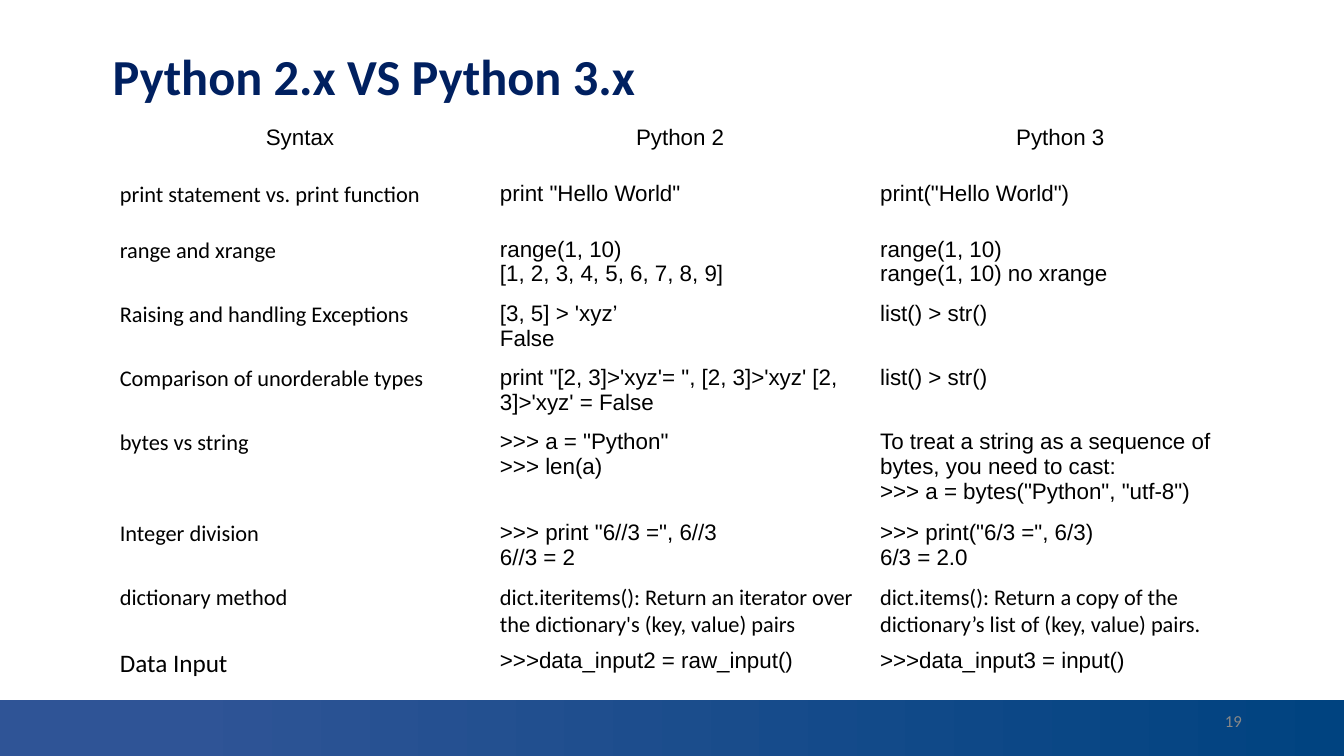
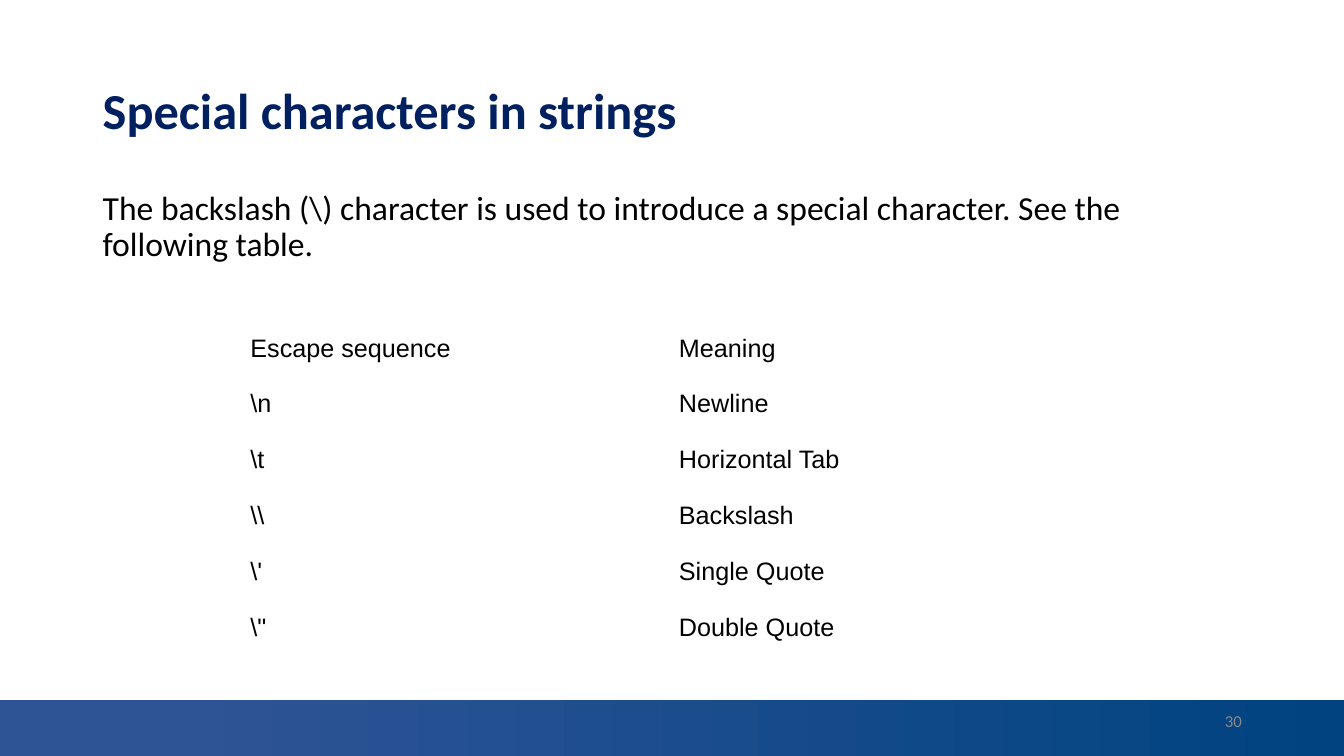
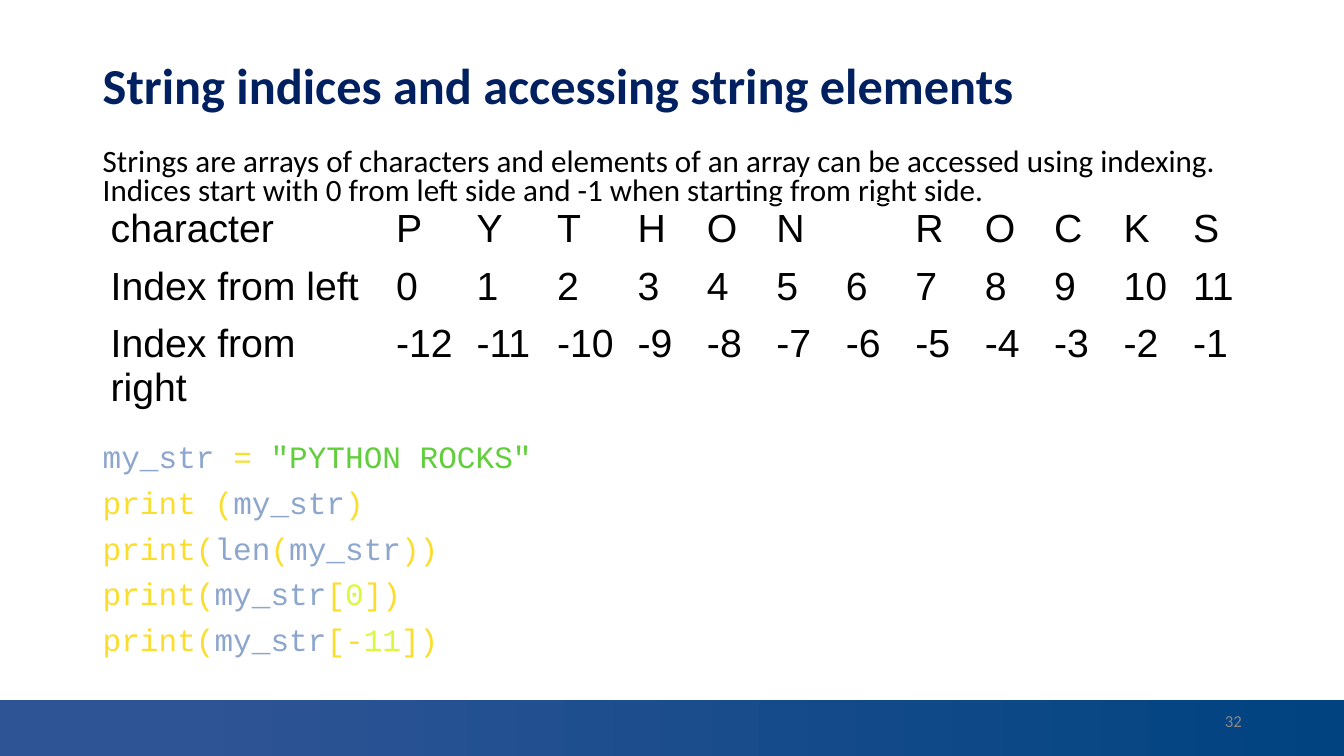
from collections.abc import Sequence
from dataclasses import dataclass

from pptx import Presentation
from pptx.dml.color import RGBColor
from pptx.enum import shapes, text
from pptx.util import Cm, Pt

SLIDE_W, SLIDE_H = 33.87, 19.05
BAND_TOP = 17.65
LEFT, WIDTH = 2.34, 29.21
BLACK, NAVY, GREY = "000000", "002060", "888888"
BAND_START, BAND_END = "2F5496", "004380"
NAME, MARK, STRING, NUMBER = "8DA6CE", "FBDE2D", "61CE3C", "D8FA3C"
ALIGN = text.PP_ALIGN
ANCHOR = text.MSO_ANCHOR


@dataclass(frozen=True)
class Style:
    size: float
    font: str = "Calibri"
    color: str = BLACK
    bold: bool = False


@dataclass(frozen=True)
class Run:
    text: str
    style: Style


@dataclass(frozen=True)
class Layout:
    """How the paragraphs of one text are set."""
    align: ALIGN = ALIGN.LEFT
    line: float = 1.0
    after: float = 0


@dataclass(frozen=True)
class Box:
    left: float
    top: float
    width: float
    height: float

    def lengths(self) -> tuple:
        return Cm(self.left), Cm(self.top), Cm(self.width), Cm(self.height)


@dataclass(frozen=True)
class Cell:
    text: str
    style: Style
    align: ALIGN = ALIGN.LEFT


TITLE = Style(36, color=NAVY, bold=True)
PAGE = Style(12, color=GREY)
LABEL = Style(16)
SAMPLE = Style(16, "Arial")
ESCAPE = Style(18, "Arial")
INDEX = Style(28, "Arial")


def rgb(color: str) -> RGBColor:
    return RGBColor.from_string(color)


def write(frame, paragraphs: Sequence[Sequence[Run]], layout: Layout = Layout()) -> None:
    for number, runs in enumerate(paragraphs):
        paragraph = frame.paragraphs[0] if number == 0 else frame.add_paragraph()
        paragraph.alignment = layout.align
        paragraph.line_spacing = layout.line
        paragraph.space_after = Pt(layout.after)
        for part in runs:
            run = paragraph.add_run()
            run.text = part.text
            run.font.size = Pt(part.style.size)
            run.font.name = part.style.font
            run.font.bold = part.style.bold
            run.font.color.rgb = rgb(part.style.color)


def add_text(slide, box: Box, paragraphs: Sequence[Sequence[Run]],
             layout: Layout = Layout(), anchor: ANCHOR = ANCHOR.TOP) -> None:
    frame = slide.shapes.add_textbox(*box.lengths()).text_frame
    frame.word_wrap = True
    frame.vertical_anchor = anchor
    write(frame, paragraphs, layout)


def add_slide(deck, title: str, title_box: Box, page: int):
    """Add a slide with its bottom band, title and page number."""
    slide = deck.slides.add_slide(deck.slide_layouts[6])
    band_box = Box(0, BAND_TOP, SLIDE_W, SLIDE_H - BAND_TOP)
    band = slide.shapes.add_shape(shapes.MSO_SHAPE.RECTANGLE, *band_box.lengths())
    band.shadow.inherit = False
    band.line.fill.background()
    band.fill.gradient()
    band.fill.gradient_angle = 0
    for stop, position, color in zip(band.fill.gradient_stops, (0.13, 1), (BAND_START, BAND_END)):
        stop.position = position
        stop.color.rgb = rgb(color)
    add_text(slide, title_box, [[Run(title, TITLE)]], Layout(line=0.9), ANCHOR.MIDDLE)
    add_text(slide, Box(23.93, BAND_TOP, 7.62, 1.02), [[Run(str(page), PAGE)]],
             Layout(ALIGN.RIGHT), ANCHOR.MIDDLE)
    return slide


def add_grid(slide, left: float, top: float, widths: Sequence[float], heights: Sequence[float],
             rows: Sequence[Sequence[Cell]], margins: tuple[float, float] = (0.25, 0.13)) -> None:
    """Add a plain table; margins are the side and the top/bottom ones."""
    box = Box(left, top, sum(widths), sum(heights))
    table = slide.shapes.add_table(len(heights), len(widths), *box.lengths()).table
    table.first_row = table.horz_banding = False
    for column, width in zip(table.columns, widths):
        column.width = Cm(width)
    for row, height, contents in zip(table.rows, heights, rows):
        row.height = Cm(height)
        for cell, content in zip(row.cells, contents):
            cell.fill.background()
            cell.margin_left = cell.margin_right = Cm(margins[0])
            cell.margin_top = cell.margin_bottom = Cm(margins[1])
            if content.text:
                lines = [[Run(line, content.style)] for line in content.text.split("\n")]
                write(cell.text_frame, lines, Layout(content.align))


def add_versions(deck) -> None:
    slide = add_slide(deck, "Python 2.x VS Python 3.x", Box(2.59, 1.02, WIDTH, 1.93), 19)
    samples = [
        ("print statement vs. print function", 'print "Hello World"', 'print("Hello World")'),
        ("range and xrange", "range(1, 10)\n[1, 2, 3, 4, 5, 6, 7, 8, 9]",
         "range(1, 10)\nrange(1, 10) no xrange"),
        ("Raising and handling Exceptions", "[3, 5] > 'xyz’\nFalse", "list() > str()"),
        ("Comparison of unorderable types",
         "print \"[2, 3]>'xyz'= \", [2, 3]>'xyz' [2, 3]>'xyz' = False", "list() > str()"),
        ("bytes vs string", '>>> a = "Python"\n>>> len(a)',
         "To treat a string as a sequence of bytes, you need to cast:\n"
         '>>> a = bytes("Python", "utf-8")'),
        ("Integer division", '>>> print "6//3 =", 6//3\n6//3 = 2',
         '>>> print("6/3 =", 6/3)\n6/3 = 2.0'),
    ]
    methods = ("dictionary method",
               "dict.iteritems(): Return an iterator over the dictionary's (key, value) pairs",
               "dict.items(): Return a copy of the dictionary’s list of (key, value) pairs.")
    rows = [[Cell(head, SAMPLE, ALIGN.CENTER) for head in ("Syntax", "Python 2", "Python 3")]]
    rows += [[Cell(label, LABEL), Cell(old, SAMPLE), Cell(new, SAMPLE)]
             for label, old, new in samples]
    rows.append([Cell(method, LABEL) for method in methods])
    rows.append([Cell("Data Input", Style(18)),
                 Cell(">>>data_input2 = raw_input()", SAMPLE),
                 Cell(">>>data_input3 = input()", SAMPLE)])
    heights = [1.41] * 2 + [1.51] * 3 + [2.13] + [1.51] * 2 + [1.41]
    add_grid(slide, 2.77, 3.02, [9.58] * 3, heights, rows)


def add_escapes(deck) -> None:
    slide = add_slide(deck, "Special characters in strings", Box(LEFT, 1.02, WIDTH, 3.68), 30)
    intro = ("The backslash (\\) character is used to introduce a special character. "
             "See the following table.")
    add_text(slide, Box(LEFT, 4.7, WIDTH, 2.5), [[Run(intro, Style(24))]], Layout(line=0.9))
    escapes = [("Escape sequence", "Meaning"), ("\\n", "Newline"), ("\\t", "Horizontal Tab"),
               ("\\\\", "Backslash"), ("\\'", "Single Quote"), ('\\"', "Double Quote")]
    rows = [[Cell(entry, ESCAPE) for entry in pair] for pair in escapes]
    add_grid(slide, 6.15, 8.26, [10.8] * 2, [1.41] * len(rows), rows, (0.16, 0.16))


def add_indices(deck) -> None:
    slide = add_slide(deck, "String indices and accessing string elements",
                      Box(LEFT, 0.38, WIDTH, 3.68), 32)
    intro = ("Strings are arrays of characters and elements of an array can be accessed using "
             "indexing. Indices start with 0 from left side and -1 when starting from right side.")
    add_text(slide, Box(LEFT, 3.61, WIDTH, 1.9), [[Run(intro, Style(22.2))]], Layout(line=0.8))

    phrase = "PYTHON ROCKS"
    count = len(phrase)
    entries = [
        ["character", *phrase.replace(" ", "\0")],
        ["Index from left", *map(str, range(count))],
        ["Index from right", *map(str, range(-count, 0))],
    ]
    rows = [[Cell(entry.strip("\0"), INDEX) for entry in row] for row in entries]
    add_grid(slide, 2.54, 5.1, [7.19] + [2.03] * 3 + [1.75] * 9, [1.04] * 3, rows)

    code = [
        [("my_str ", NAME), ("= ", MARK), (f'"{phrase}"', STRING)],
        [("print (", MARK), ("my_str", NAME), (")", MARK)],
        [("print(", MARK), ("len", NAME), ("(", MARK), ("my_str", NAME), ("))", MARK)],
        [("print(", MARK), ("my_str", NAME), ("[", MARK), ("0", NUMBER), ("])", MARK)],
        [("print(", MARK), ("my_str", NAME), ("[-", MARK), ("11", NUMBER), ("])", MARK)],
    ]
    lines = [[Run(token, Style(22.2, "Courier New", color)) for token, color in line]
             for line in code]
    add_text(slide, Box(LEFT, 11.09, WIDTH, 6), lines, Layout(line=0.8, after=11.3))


def main() -> None:
    deck = Presentation()
    deck.slide_width, deck.slide_height = Cm(SLIDE_W), Cm(SLIDE_H)
    add_versions(deck)
    add_escapes(deck)
    add_indices(deck)
    deck.save("out.pptx")


if __name__ == "__main__":
    main()
